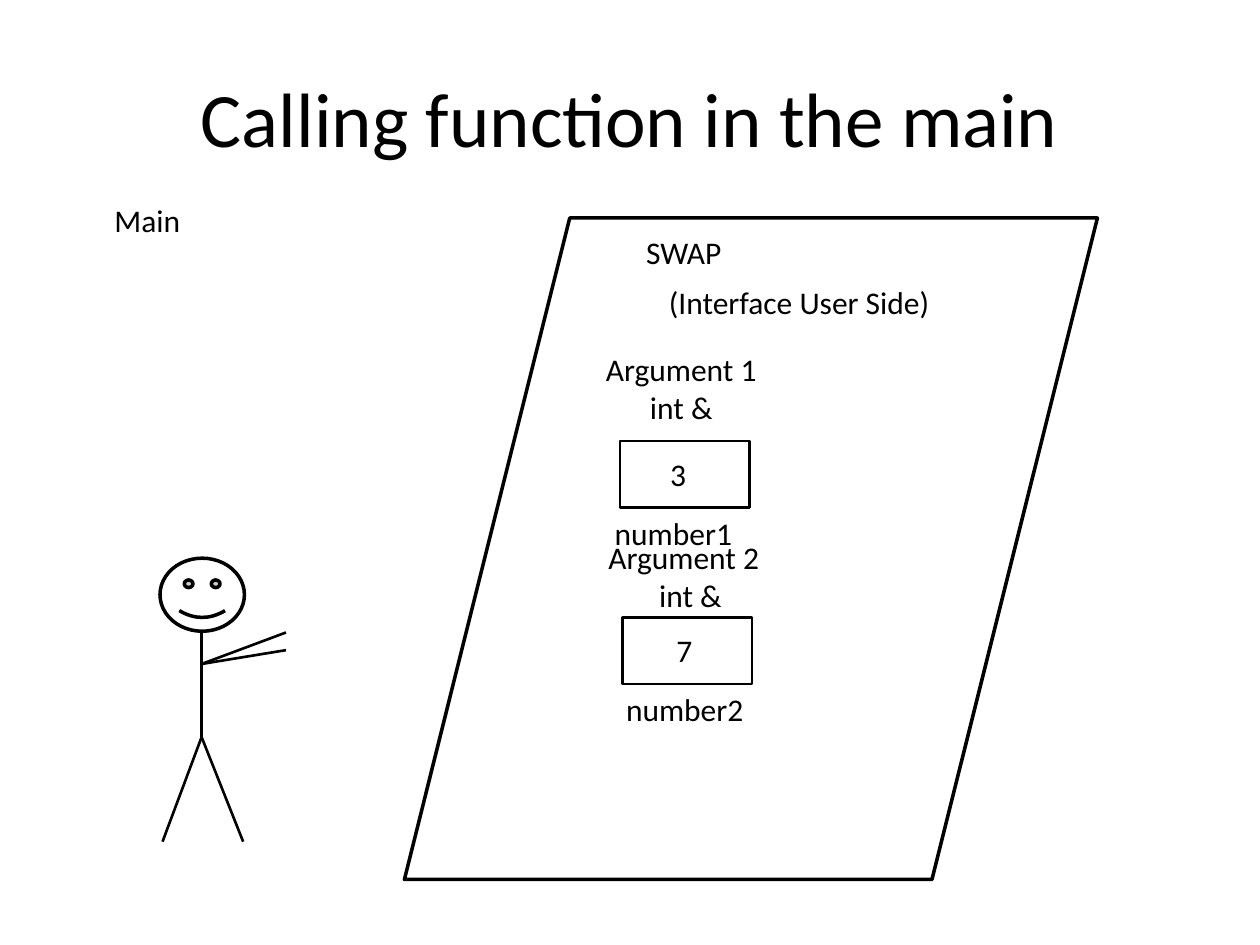
from lxml import etree
from pptx import Presentation
from pptx.dml.color import RGBColor
from pptx.enum.shapes import MSO_CONNECTOR, MSO_SHAPE
from pptx.enum.text import MSO_ANCHOR, MSO_AUTO_SIZE, PP_ALIGN
from pptx.oxml.ns import qn
from pptx.util import Inches, Pt

BLACK = RGBColor(0x00, 0x00, 0x00)
WHITE = RGBColor(0xFF, 0xFF, 0xFF)
FONT = "Calibri"
STRAIGHT = MSO_CONNECTOR.STRAIGHT
RECTANGLE = MSO_SHAPE.RECTANGLE
PARALLELOGRAM = MSO_SHAPE.PARALLELOGRAM
SMILEY = MSO_SHAPE.SMILEY_FACE
MIDDLE = MSO_ANCHOR.MIDDLE
GROW = MSO_AUTO_SIZE.SHAPE_TO_FIT_TEXT
LEFT, CENTER = PP_ALIGN.LEFT, PP_ALIGN.CENTER


def style_paragraph(para, size, align):
    para.alignment = align
    para.font.name = FONT
    para.font.size = Pt(size)
    para.font.color.rgb = BLACK


def set_title(page, text):
    title = page.shapes.title
    title.left, title.top = Inches(0.5), Inches(0.3)
    title.width, title.height = Inches(9), Inches(1.25)
    title.text_frame.text = text
    title.text_frame.vertical_anchor = MIDDLE
    style_paragraph(title.text_frame.paragraphs[0], 44, CENTER)


def add_label(shapes, text, left, top, width, height=0.4, wrap=True):
    box = shapes.add_textbox(Inches(left), Inches(top), Inches(width), Inches(height))
    frame = box.text_frame
    frame.word_wrap = wrap
    frame.auto_size = GROW
    frame.text = text
    for index, para in enumerate(frame.paragraphs):
        style_paragraph(para, 18, CENTER if index else LEFT)


def add_outline(shapes, kind, left, top, width, height, weight, fill=None):
    shape = shapes.add_shape(kind, Inches(left), Inches(top), Inches(width), Inches(height))
    shape.shadow.inherit = False
    if fill is None:
        shape.fill.background()
    else:
        shape.fill.solid()
        shape.fill.fore_color.rgb = fill
    shape.line.color.rgb = BLACK
    shape.line.width = Pt(weight)


def add_limb(shapes, start, end):
    limb = shapes.add_connector(STRAIGHT, *(Inches(value) for value in start + end))
    limb.line.color.rgb = BLACK
    limb.line.width = Pt(1.5)
    properties = limb._element.find(qn("p:spPr"))
    etree.SubElement(properties, qn("a:effectLst"))


def add_variable(page, name, value, top, box_left, value_left, name_left):
    shapes = page.shapes.add_group_shape().shapes
    add_outline(shapes, RECTANGLE, box_left, top, 1.03, 0.53, 1.5, WHITE)
    add_label(shapes, value, value_left, top + 0.06, 0.36)
    add_label(shapes, name, name_left, top + 0.53, 1.25)


def add_caller(page):
    shapes = page.shapes.add_group_shape().shapes
    neck, shoulder, hip = (1.6, 5.02), (1.6, 5.27), (1.6, 5.85)
    add_outline(shapes, SMILEY, 1.27, 4.43, 0.67, 0.58, 2, WHITE)
    add_limb(shapes, neck, hip)
    for foot in ((1.29, 6.68), (1.93, 6.68)):
        add_limb(shapes, hip, foot)
    for hand in ((2.27, 5.02), (2.27, 5.16)):
        add_limb(shapes, shoulder, hand)


def main():
    deck = Presentation()
    deck.slide_width, deck.slide_height = Inches(10), Inches(7.5)
    page = deck.slides.add_slide(deck.slide_layouts[5])
    shapes = page.shapes

    set_title(page, "Calling function in the main")
    add_label(shapes, "Main", 0.81, 1.55, 0.92)
    add_outline(shapes, PARALLELOGRAM, 3.21, 1.73, 5.5, 5.25, 2)
    add_label(shapes, "(Interface User Side)", 5.21, 2.2, 2.32)
    add_label(shapes, "Argument 1\nint &", 4.71, 2.73, 1.41, 0.71, wrap=False)
    add_label(shapes, "Argument 2\nint &", 4.73, 4.22, 1.5, 0.71)
    add_label(shapes, "SWAP", 5.03, 1.8, 2)
    add_variable(page, "number2", "7", 4.9, 4.94, 5.27, 4.87)
    add_caller(page)
    add_variable(page, "number1", "3", 3.5, 4.92, 5.22, 4.78)

    deck.save("out.pptx")


if __name__ == "__main__":
    main()
